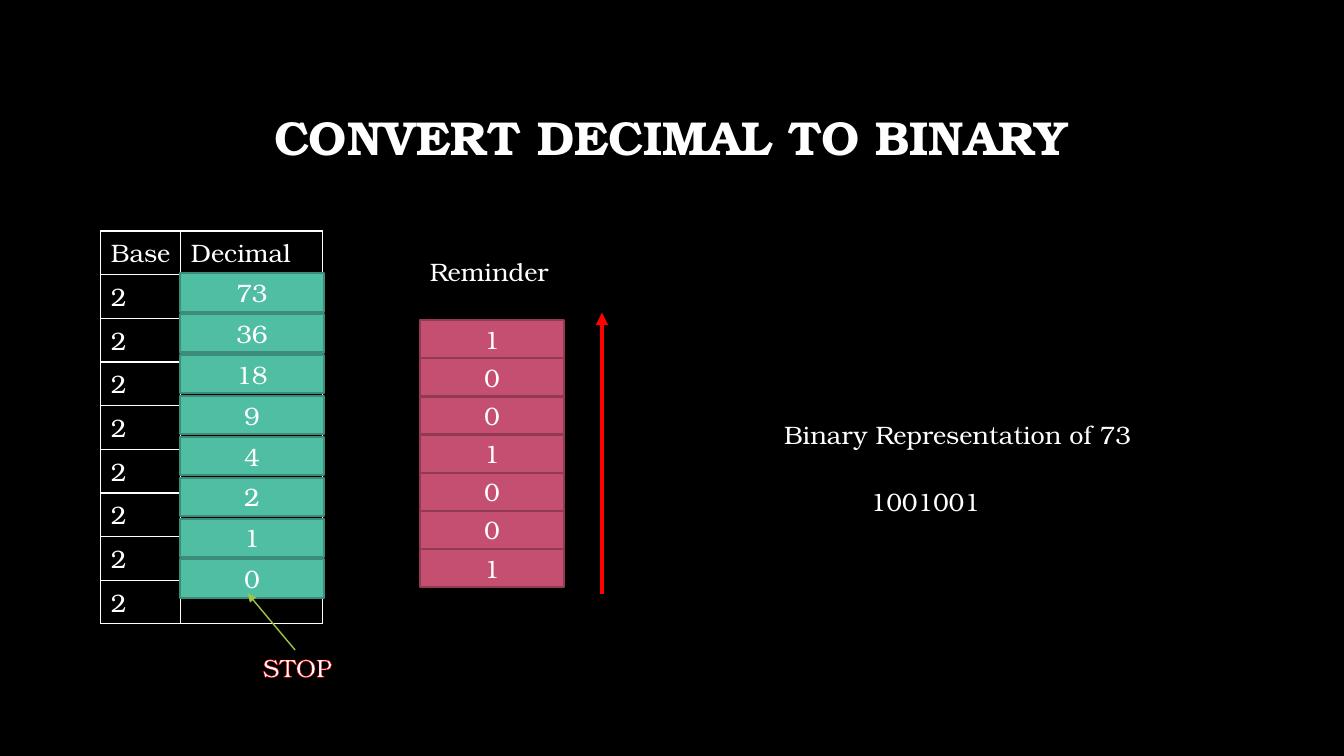
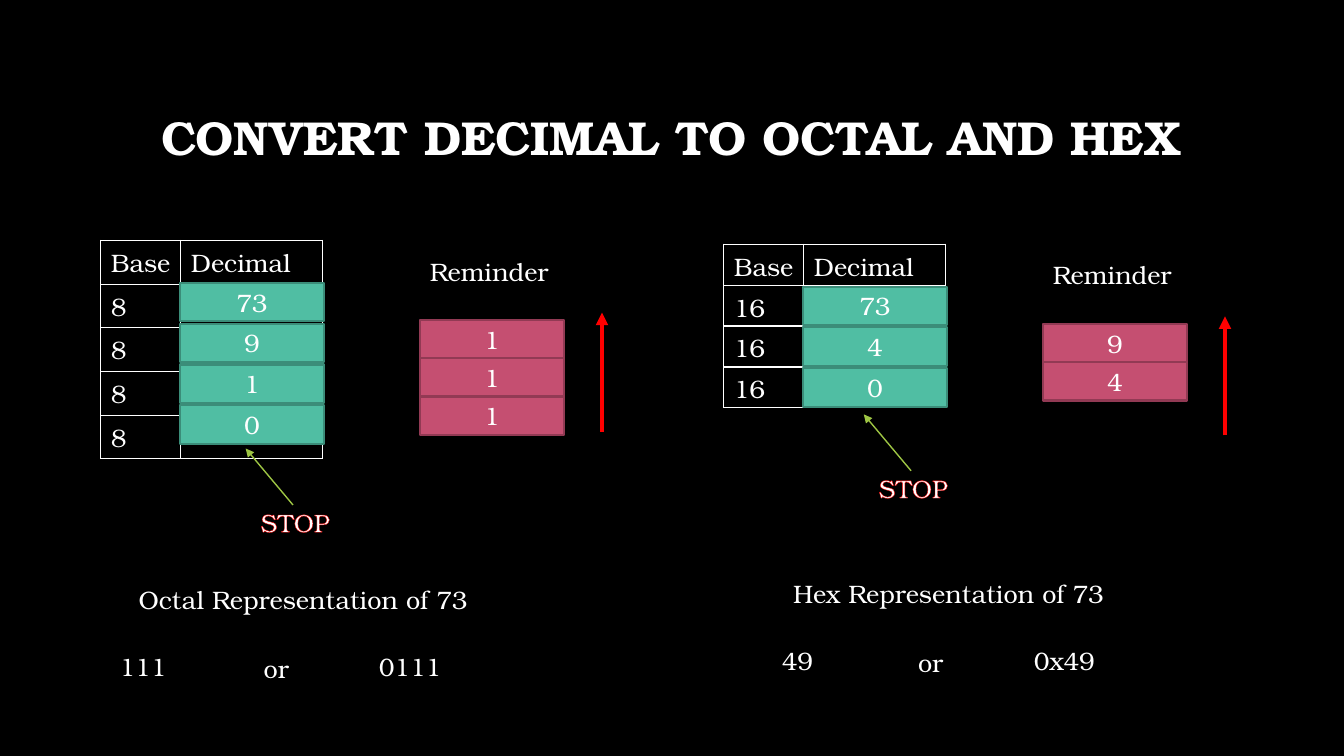
from lxml.etree import SubElement
from pptx import Presentation
from pptx.dml.color import RGBColor
from pptx.enum.shapes import MSO_CONNECTOR, MSO_SHAPE
from pptx.enum.text import MSO_ANCHOR as Anchor, PP_ALIGN as Align
from pptx.oxml import parse_xml
from pptx.oxml.ns import nsdecls, qn
from pptx.util import Pt

COLORS = {
    "background": "000000",
    "text": "FFFFFF",
    "quotient": "50BEA3",
    "quotient_line": "3B8D79",
    "remainder": "C54F71",
    "remainder_line": "923A54",
    "read_arrow": "FF0000",
    "stop_arrow": "9EC544",
}
NUMBER = 73
BOX_SIZE = (103, 27.4)
TEXT_HEIGHT = 29


def color(name):
    return RGBColor.from_string(COLORS[name])


def outline(tag, width, name):
    """Return a line element for a cell border or for the edge of text."""
    return parse_xml(
        f'<a:{tag} {nsdecls("a")} w="{Pt(width)}"><a:solidFill>'
        f'<a:srgbClr val="{COLORS[name]}"/></a:solidFill></a:{tag}>'
    )


def division_steps(base):
    """Return the quotients from the number down to 0, and the remainders."""
    quotients, remainders = [NUMBER], []
    while quotients[-1]:
        quotient, remainder = divmod(quotients[-1], base)
        quotients.append(quotient)
        remainders.append(remainder)
    return quotients, remainders


class Deck:
    font = "TeX Gyre Bonum"
    body_size = 18
    title_size = 34

    def __init__(self):
        self.presentation = Presentation()
        self.presentation.slide_width = Pt(960)
        self.presentation.slide_height = Pt(540)
        self.slide = None

    def add_slide(self, title):
        self.slide = self.presentation.slides.add_slide(self.presentation.slide_layouts[6])
        fill = self.slide.background.fill
        fill.solid()
        fill.fore_color.rgb = color("background")
        shape = self.text(72, 48, 815, 104.4, title, self.title_size, True, Align.CENTER)
        shape.text_frame.vertical_anchor = Anchor.MIDDLE
        shape.text_frame.paragraphs[0].line_spacing = 0.9

    def set_text(self, frame, text, size=body_size, bold=False, align=Align.LEFT):
        frame.text = str(text)
        paragraph = frame.paragraphs[0]
        paragraph.alignment = align
        for run in paragraph.runs:
            run.font.name = self.font
            run.font.size = Pt(size)
            run.font.bold = bold
            run.font.color.rgb = color("text")

    def text(self, left, top, width, height, text, size=body_size, bold=False, align=Align.LEFT):
        shape = self.slide.shapes.add_textbox(Pt(left), Pt(top), Pt(width), Pt(height))
        shape.text_frame.word_wrap = True
        self.set_text(shape.text_frame, text, size, bold, align)
        return shape

    def box(self, left, top, text, fill, line, size=BOX_SIZE):
        shape = self.slide.shapes.add_shape(
            MSO_SHAPE.RECTANGLE, Pt(left), Pt(top), *map(Pt, size))
        shape.shadow.inherit = False
        shape.fill.solid()
        shape.fill.fore_color.rgb = color(fill)
        shape.line.color.rgb = color(line)
        shape.line.width = Pt(1.5)
        shape.text_frame.vertical_anchor = Anchor.MIDDLE
        self.set_text(shape.text_frame, text, align=Align.CENTER)

    def box_stack(self, left, top, pitch, values, kind):
        for index, value in enumerate(values):
            self.box(left, top + index * pitch, value, kind, f"{kind}_line")

    def arrow(self, start, end, name, width):
        connector = self.slide.shapes.add_connector(
            MSO_CONNECTOR.STRAIGHT, *map(Pt, (*start, *end)))
        connector.line.color.rgb = color(name)
        connector.line.width = Pt(width)
        properties = connector._element.spPr
        SubElement(properties.find(qn("a:ln")), qn("a:tailEnd"), type="triangle")
        SubElement(properties, qn("a:effectLst"))

    def table(self, left, top, widths, row_height, rows):
        table = self.slide.shapes.add_table(
            len(rows), len(widths), Pt(left), Pt(top),
            Pt(sum(widths)), Pt(row_height * len(rows))).table
        table.first_row = table.horz_banding = False
        for column, width in zip(table.columns, widths):
            column.width = Pt(width)
        for row, texts in zip(table.rows, rows):
            row.height = Pt(row_height)
            for cell, text in zip(row.cells, texts):
                self.set_text(cell.text_frame, text)
                properties = cell._tc.get_or_add_tcPr()
                for tag in ("lnL", "lnR", "lnT", "lnB"):
                    properties.append(outline(tag, 1, "text"))
                cell.fill.background()

    def stop_note(self, x, y):
        """Mark the end of the division with an arrow whose tip is at x, y."""
        self.arrow((x + 33.8, y + 40.3), (x, y), "stop_arrow", 1)
        shape = self.text(x + 3.6, y + 38.2, 98, TEXT_HEIGHT, "STOP")
        run = shape.text_frame.paragraphs[0].runs[0]
        run.font._element.insert(0, outline("ln", 0.75, "read_arrow"))

    def division(self, base, left, table_top, row_height, label_top, arrow_length, stop):
        """Draw the division table, its remainders and the reading arrow."""
        quotients, remainders = division_steps(base)
        rows = [("Base", "Decimal")] + [(base, "")] * len(quotients)
        self.table(left, table_top, (57.2, 101), row_height, rows)
        self.box_stack(left + 56.5, table_top + 30.2, 29.2, quotients, "quotient")
        self.text(left + 228, label_top, 103, TEXT_HEIGHT, "Reminder")
        self.box_stack(left + 228, label_top + 49.5, 27.2, remainders, "remainder")
        arrow_x, arrow_top = left + 358, label_top + 44
        self.arrow((arrow_x, arrow_top + arrow_length), (arrow_x, arrow_top), "read_arrow", 3)
        self.stop_note(*stop)

    def result(self, left, top, system, forms):
        """Set a heading and, below it, each form at its offset from left."""
        for offset, form in forms:
            self.box(left + offset, top + 40.5, form, "background", "background", (122.4, 43.2))
        self.text(left, top, 338, TEXT_HEIGHT, f"{system} Representation of {NUMBER}")

    def result_pair(self, left, top, system, plain, prefixed):
        self.result(left, top, system, ((-51, plain), (139.7, prefixed)))
        self.text(left + 89.3, top + 49, 55, TEXT_HEIGHT, "or")


def main():
    deck = Deck()
    deck.add_slide("CONVERT DECIMAL TO BINARY")
    deck.division(2, 72, 165, 31.2, 179.3, 201, (177, 424))
    deck.result(553, 296, "Binary", ((46.8, "1001001"),))

    deck.add_slide("CONVERT DECIMAL TO OCTAL AND HEX")
    deck.division(8, 72, 171.8, 31.2, 179.3, 85, (175.5, 320.4))
    deck.result_pair(92, 414, "Octal", "111", "0111")
    deck.division(16, 517, 174.5, 29.2, 182, 85, (617, 296))
    deck.result_pair(559.4, 409.7, "Hex", "49", "0x49")

    deck.presentation.save("out.pptx")


if __name__ == "__main__":
    main()
